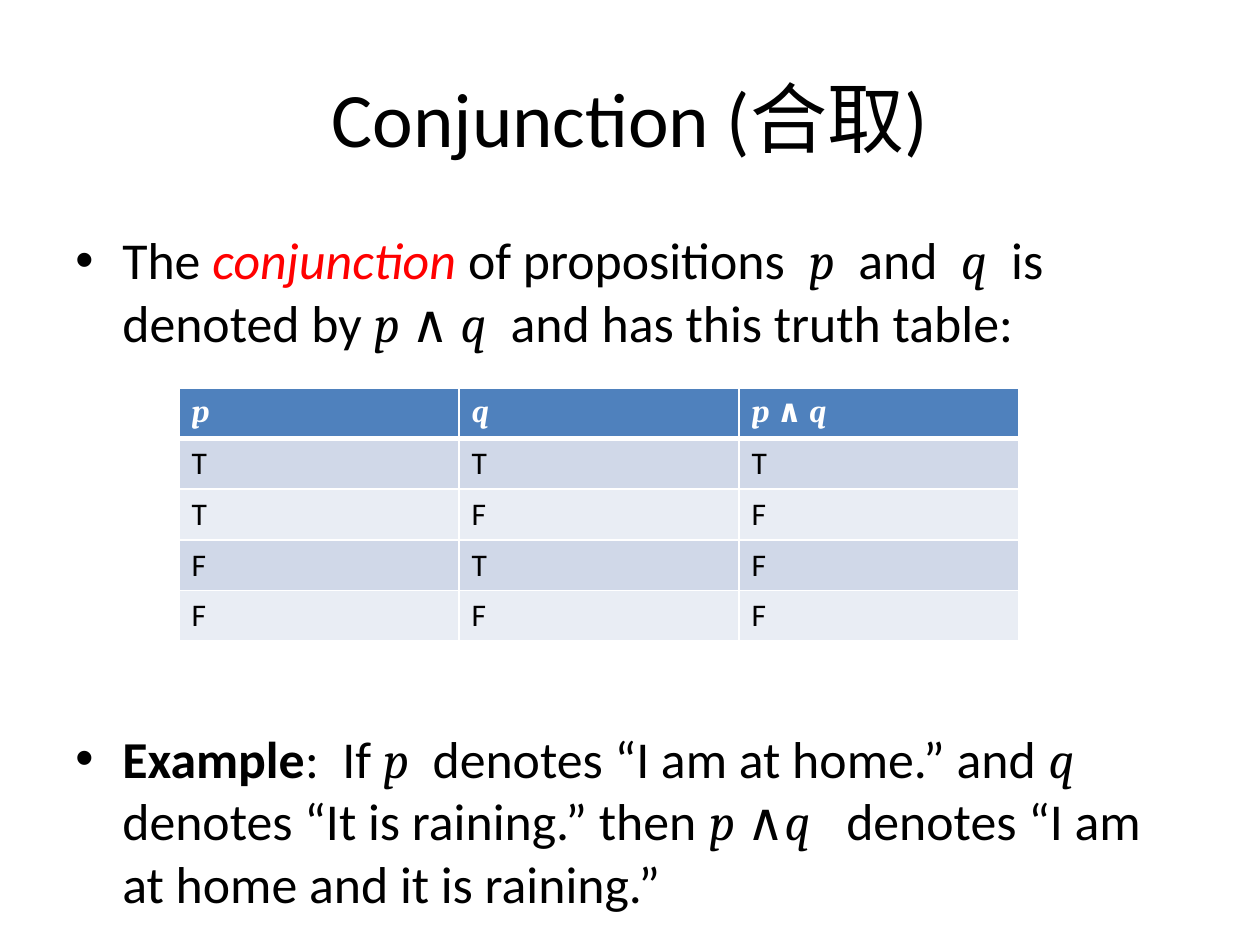
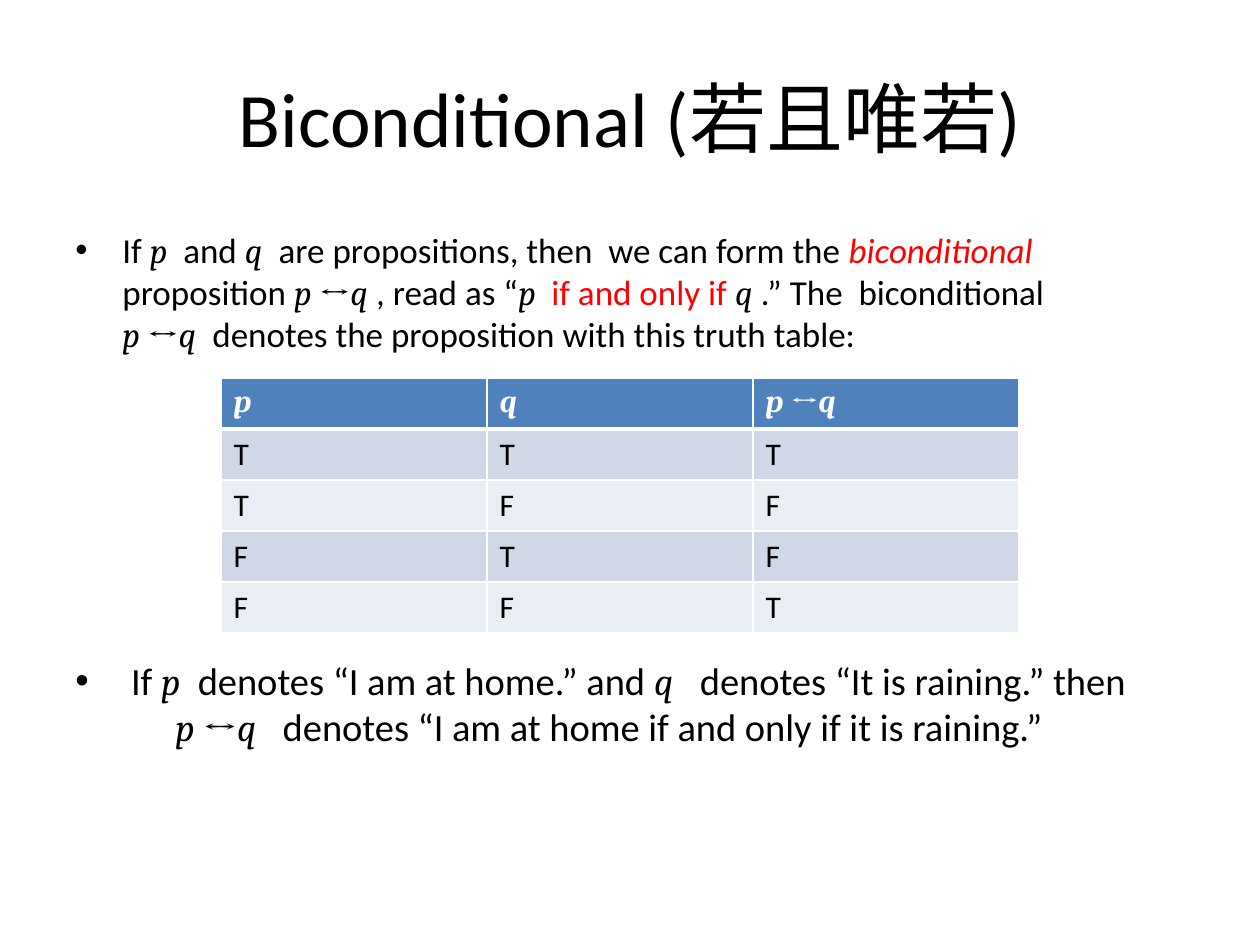
from dataclasses import dataclass

from lxml import etree
from pptx import Presentation
from pptx import util as u
from pptx.dml.color import RGBColor
from pptx.enum import text as t
from pptx.oxml import ns

PX = 914400 // 126  # EMU in one px


@dataclass(frozen=True)
class Theme:
    sans: str = "Calibri"
    math: str = "Cambria"
    ink: str = "000000"
    white: str = "FFFFFF"
    red: str = "FF0000"
    head: str = "4F81BD"
    bands: tuple = ("D0D8E8", "E9EDF4")
    title: int = 44
    cell: int = 18


TH = Theme()

# Run styles: font, colour, bold, italic (None keeps the paragraph's value)
STYLES = {
    "": (TH.sans, None, None, None),
    "var": (TH.math, None, None, True),
    "sign": (TH.math, None, None, None),
    "bold": (TH.sans, None, True, None),
    "red": (TH.sans, TH.red, None, None),
    "term": (TH.sans, TH.red, None, True),
}
BREAK = "\n"
P, Q = ("p", "var"), ("q", "var")
AND = [("p ", "var"), ("∧ ", "sign"), Q]
TIGHT = [("p ", "var"), ("∧", "sign"), Q]
IFF = [("p ", "var"), ("↔", "sign"), Q]


def px(num):
    return u.Emu(round(num * PX))


def rgb(code):
    return RGBColor.from_string(code)


# Text
def style(para, size, color=TH.ink, bold=False):
    font = para.font
    font.name, font.size, font.bold = TH.sans, u.Pt(size), bold
    font.color.rgb = rgb(color)


def write(para, runs):
    for item in runs:
        if item == BREAK:
            para.add_line_break()
            continue
        words, key = (item, "") if isinstance(item, str) else item
        run = para.add_run()
        run.text = words
        name, color, bold, slant = STYLES[key]
        run.font.name, run.font.bold, run.font.italic = name, bold, slant
        if color:
            run.font.color.rgb = rgb(color)


def box(slide, left, top, width, height):
    frame = slide.shapes.add_textbox(*map(px, (left, top, width, height))).text_frame
    frame.word_wrap = True
    return frame


def title(slide, words):
    frame = box(slide, 63, 38, 1134, 158)
    frame.vertical_anchor = t.MSO_ANCHOR.MIDDLE
    para = frame.paragraphs[0]
    para.alignment = t.PP_ALIGN.CENTER
    style(para, TH.title)
    write(para, [words])


def indent(para, left, hang=0):
    props = para._p.get_or_add_pPr()
    props.set("marL", str(px(left)))
    props.set("indent", str(-px(hang)))
    return props


def bullet(para):
    props = indent(para, 47, 47)
    face = etree.SubElement(props, ns.qn("a:buFont"))
    face.set("typeface", "Arial")
    etree.SubElement(props, ns.qn("a:buChar")).set("char", "•")


def body(slide, width, items):
    """Each item is (runs, size, gap before in points, left indent or None for a bullet)."""
    frame = box(slide, 63, 222, width, 624)
    for num, (runs, size, gap, left) in enumerate(items):
        para = frame.add_paragraph() if num else frame.paragraphs[0]
        para.space_before = u.Pt(gap)
        if left is None:
            bullet(para)
        else:
            indent(para, left)
        style(para, size)
        write(para, runs)


# Truth table
def edge(side, points):
    line = etree.Element(ns.qn("a:ln" + side), w=str(u.Pt(points)))
    fill = etree.SubElement(line, ns.qn("a:solidFill"))
    etree.SubElement(fill, ns.qn("a:srgbClr")).set("val", TH.white)
    return line


def paint(cell, color, low, high):
    cell.fill.solid()
    cell.fill.fore_color.rgb = rgb(color)
    props = cell._tc.get_or_add_tcPr()
    for spot, (side, points) in enumerate((("L", 1), ("R", 1), ("T", high), ("B", low))):
        props.insert(spot, edge(side, points))


def truth(slide, left, top, width, high, form, values):
    rows = [[[P], [Q], form]]
    rows += [[[a], [b], [c]] for a, b, c in zip("TTFF", "TFTF", values)]
    grid = slide.shapes.add_table(5, 3, *map(px, (left, top, width, high))).table
    for col in grid.columns:
        col.width = px(width / 3)
    for i, row in enumerate(rows):
        grid.rows[i].height = px(high / 5)
        for j, runs in enumerate(row):
            cell = grid.cell(i, j)
            top_row = i == 0
            fill = TH.head if top_row else TH.bands[(i - 1) % 2]
            paint(cell, fill, 3 if top_row else 1, 3 if i == 1 else 1)
            para = cell.text_frame.paragraphs[0]
            style(para, TH.cell, TH.white if top_row else TH.ink, top_row)
            write(para, runs)


# Slides
def conj(slide):
    title(slide, "Conjunction (合取)")
    intro = ["The ", ("conjunction", "term"), " of propositions  ", P, "  and  ", Q,
             "  is denoted by ", *AND, "  and has this truth table:"]
    case = [("Example", "bold"), ":  If ", P, "  denotes “I am at home.” and ", Q,
            "  denotes “It is raining.” then ", *TIGHT,
            "   denotes “I am at home and it is raining.”"]
    body(slide, 1134, [(intro, 29.6, 0, None), (case, 29.6, 214, None)])
    truth(slide, 179, 388, 840, 253, AND, "TFFF")


def bicond(slide):
    title(slide, "Biconditional (若且唯若)")
    intro = ["If ", P, "  and ", Q, "  are propositions, then  we can form the ",
             ("biconditional ", "term"), "proposition ", *IFF, " , read as “",
             ("p  ", "var"), ("if and only if ", "red"), Q,
             " .” The  biconditional", BREAK, *IFF,
             "  denotes the proposition with this truth table:"]
    case = [" If ", P, "  denotes “I am at home.” and ", Q,
            "   denotes “It is raining.” then"]
    rest = [*IFF, "   denotes “I am at home if and only if it is raining.”"]
    body(slide, 1081, [(intro, 20, 0, None), (case, 22, 173, None), (rest, 22, 0, 100)])
    truth(slide, 221, 378, 798, 255, IFF, "TFFT")


def main():
    deck = Presentation()
    deck.slide_width, deck.slide_height = px(1260), px(945)
    for build in (conj, bicond):
        build(deck.slides.add_slide(deck.slide_layouts[6]))
    deck.save("out.pptx")


if __name__ == "__main__":
    main()
